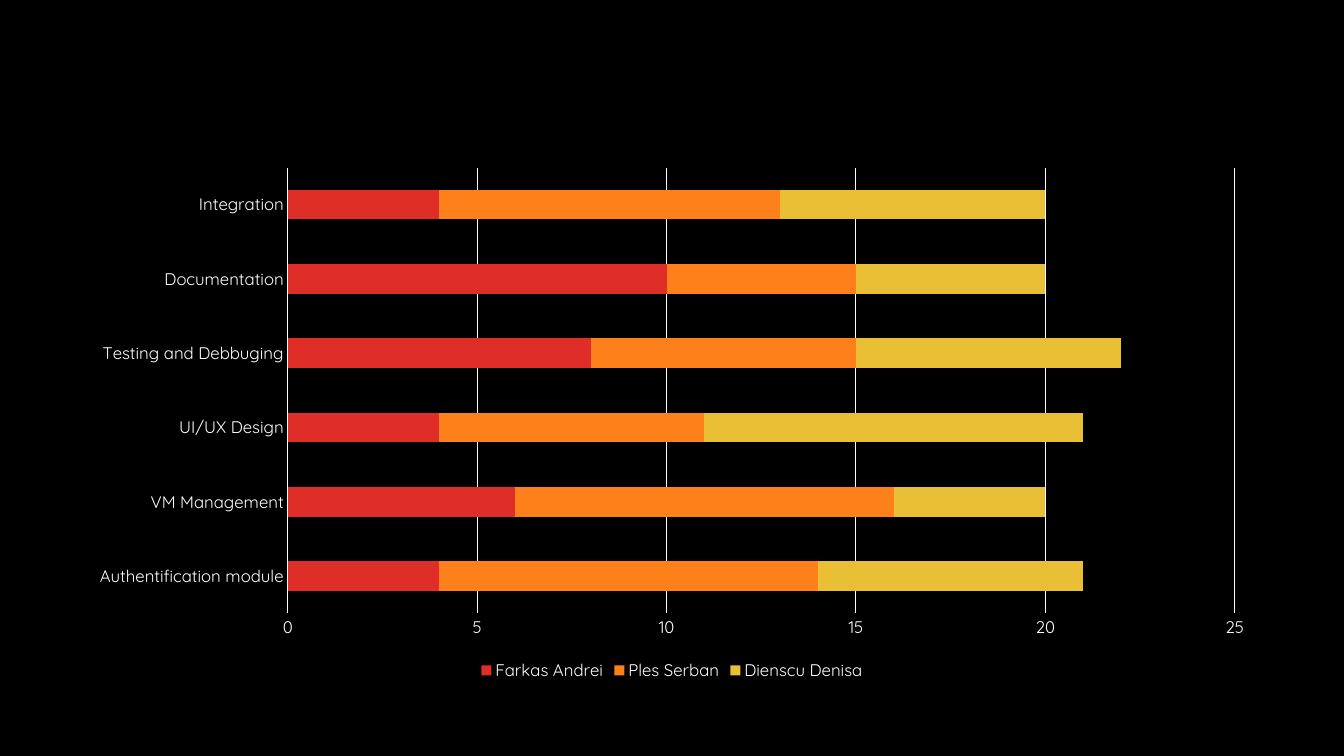
"""Build a slide with a stacked bar chart of work per module and team member."""
from pptx import Presentation
from pptx.chart.data import CategoryChartData
from pptx.dml.color import RGBColor
from pptx.enum.chart import XL_CHART_TYPE as CT, XL_LEGEND_POSITION as LP, XL_TICK_MARK as TM
from pptx.util import Pt

MODULES = ["Authentification module", "VM Management", "UI/UX Design",
           "Testing and Debbuging", "Documentation", "Integration"]
MEMBERS = [
    ("Farkas Andrei", "red", (4, 6, 4, 8, 10, 4)),
    ("Ples Serban", "orange", (10, 10, 7, 7, 5, 9)),
    ("Dienscu Denisa", "yellow", (7, 4, 10, 7, 5, 7)),
]
COLORS = {"back": "000000", "text": "FFFFFF", "red": "DF2E28",
          "orange": "FE801A", "yellow": "E9BF35"}
FONT = "Quicksand"
SLIDE = (1344, 756)
CHART = (76, 157, 1192, 528)
PX = 914400 / 100.8


def emu(*lengths):
    return [round(n * PX) for n in lengths]


def rgb(name):
    return RGBColor.from_string(COLORS[name])


def paint(fill, color):
    fill.solid()
    fill.fore_color.rgb = rgb(color)


def style_text(font, size=12, color="text"):
    font.name, font.size, font.bold = FONT, Pt(size), False
    font.color.rgb = rgb(color)


def style_line(line, color="text", width=0.75):
    line.color.rgb = rgb(color)
    line.width = Pt(width)


def add_workload(slide):
    data = CategoryChartData()
    data.categories = MODULES
    for name, _, values in MEMBERS:
        data.add_series(name, values)
    chart = slide.shapes.add_chart(CT.BAR_STACKED, *emu(*CHART), data).chart
    chart.has_title = False
    style_text(chart.font, size=10)

    plot = chart.plots[0]
    plot.gap_width, plot.overlap, plot.vary_by_categories = 150, 100, False
    for series, (_, color, _) in zip(plot.series, MEMBERS):
        paint(series.format.fill, color)

    cats, vals = chart.category_axis, chart.value_axis
    for axis in (cats, vals):
        axis.major_tick_mark = axis.minor_tick_mark = TM.NONE
        style_text(axis.tick_labels.font)
    style_line(cats.format.line)
    vals.format.line.fill.background()
    vals.has_major_gridlines = True
    style_line(vals.major_gridlines.format.line)
    vals.minimum_scale, vals.maximum_scale, vals.major_unit = 0, 25, 5

    chart.has_legend = True
    chart.legend.position = LP.BOTTOM
    chart.legend.include_in_layout = False
    style_text(chart.legend.font)


def main():
    prs = Presentation()
    prs.slide_width, prs.slide_height = emu(*SLIDE)
    s = prs.slides.add_slide(prs.slide_layouts[6])
    paint(s.background.fill, "back")
    add_workload(s)
    prs.save("out.pptx")


if __name__ == "__main__":
    main()
